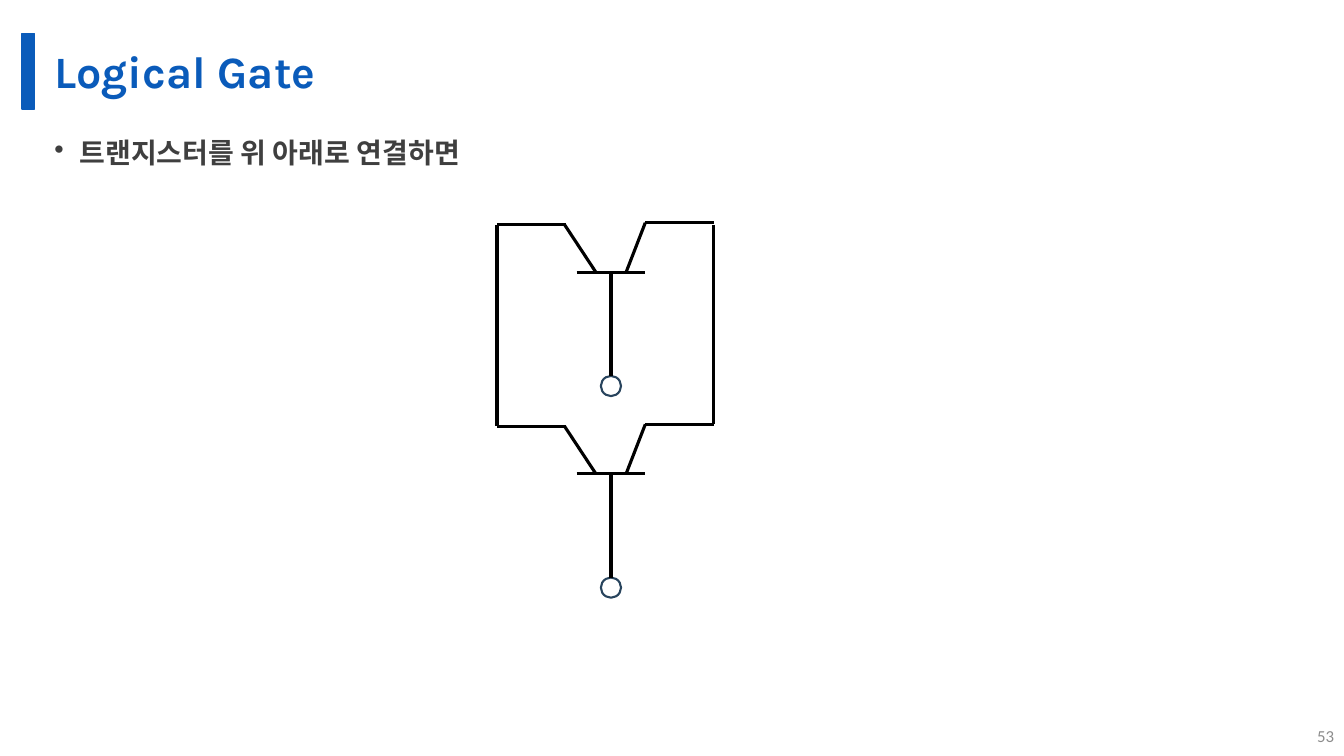
from dataclasses import dataclass

from lxml import etree
from pptx import Presentation
from pptx.dml.color import RGBColor
from pptx.enum.shapes import MSO_CONNECTOR, MSO_SHAPE
from pptx.enum.text import MSO_ANCHOR, PP_ALIGN
from pptx.oxml.ns import qn
from pptx.util import Emu, Pt

EMU_PER_PX = 9144
STRAIGHT = MSO_CONNECTOR.STRAIGHT
RECT, OVAL = MSO_SHAPE.RECTANGLE, MSO_SHAPE.OVAL
TOP, MIDDLE = MSO_ANCHOR.TOP, MSO_ANCHOR.MIDDLE
LEFT, RIGHT = PP_ALIGN.LEFT, PP_ALIGN.RIGHT
TOP_SITE = 0


@dataclass(frozen=True)
class Theme:
    """Colours, fonts and point sizes of the slide."""
    accent: str = "0A5BBA"
    body: str = "3F3F3F"
    muted: str = "8C8C8C"
    wire: str = "000000"
    terminal: str = "28445D"
    title_font: str = "Karla"
    body_font: str = "Lato"
    number_font: str = "Calibri"
    title_size: int = 32
    body_size: int = 20
    number_size: int = 12
    wire_width: float = 2.25
    terminal_width: float = 1.5


THEME = Theme()


def px(n):
    """Turn px (100 to the inch) into EMU."""
    return Emu(n * EMU_PER_PX)


def rgb(value):
    """Turn a hex string into a colour."""
    return RGBColor.from_string(value)


def add_bullet(p, indent):
    """Give a paragraph a round bullet with a hanging indent."""
    pPr = p._p.get_or_add_pPr()
    pPr.set("marL", str(px(indent)))
    pPr.set("indent", str(-px(indent)))
    etree.SubElement(pPr, qn("a:buChar")).set("char", "•")


def add_text(shapes, text, box, *, font, size, color, bold=False, align=LEFT,
             anchor=TOP, spacing=1.0, after=0, bottom=5, indent=0):
    """Add a one-paragraph text box in the given format."""
    s = shapes.add_textbox(*map(px, box))
    tf = s.text_frame
    tf.word_wrap = True
    tf.vertical_anchor = anchor
    tf.margin_bottom = px(bottom)
    p = tf.paragraphs[0]
    p.alignment = align
    p.line_spacing = spacing
    p.space_after = Pt(after)
    if indent:
        add_bullet(p, indent)
    r = p.add_run()
    r.text = text
    r.font.name, r.font.size, r.font.bold = font, Pt(size), bold
    r.font.color.rgb = rgb(color)
    return s


def add_shape(shapes, kind, box, line, width, fill=None):
    """Add an outlined preset shape, filled when a colour is given."""
    s = shapes.add_shape(kind, *map(px, box))
    s.shadow.inherit = False
    if fill:
        s.fill.solid()
        s.fill.fore_color.rgb = rgb(fill)
    else:
        s.fill.background()
    s.line.color.rgb = rgb(line)
    s.line.width = Pt(width)
    return s


def add_wire(shapes, x1, y1, x2, y2):
    """Add a straight wire between two points."""
    c = shapes.add_connector(STRAIGHT, px(x1), px(y1), px(x2), px(y2))
    c.line.color.rgb = rgb(THEME.wire)
    c.line.width = Pt(THEME.wire_width)
    etree.SubElement(c._element.spPr, qn("a:effectLst"))
    return c


def add_transistor(shapes, x, y):
    """Add a grouped transistor whose left lead starts at x, y."""
    g = shapes.add_group_shape().shapes
    base = y + 47
    add_wire(g, x, y, x + 68, y)
    add_wire(g, x + 79, base, x + 147, base)
    add_wire(g, x + 67, y, x + 98, base)
    add_wire(g, x + 147, y - 2, x + 128, base)
    add_wire(g, x + 147, y - 2, x + 215, y - 2)
    terminal = add_shape(g, OVAL, (x + 103, y + 150, 20, 20),
                         THEME.terminal, THEME.terminal_width)
    stem = add_wire(g, x + 113, y + 150, x + 113, base)
    stem.begin_connect(terminal, TOP_SITE)


def add_circuit(shapes, left, top, drop):
    """Add two transistors, one above the other, with their leads joined."""
    right = left + 215
    for y in (top, top + drop):
        add_transistor(shapes, left, y)
    add_wire(shapes, left, top, left, top + drop)
    add_wire(shapes, right, top + drop - 2, right, top)


def main():
    """Build the slide and save it."""
    prs = Presentation()
    prs.slide_width, prs.slide_height = px(1333), px(750)
    shapes = prs.slides.add_slide(prs.slide_layouts[6]).shapes
    add_shape(shapes, RECT, (22, 33, 12, 75), THEME.accent, 1, THEME.accent)
    add_text(shapes, "Logical Gate", (44, 33, 1245, 75),
             font=THEME.title_font, size=THEME.title_size, color=THEME.accent,
             bold=True, anchor=MIDDLE, spacing=0.9, bottom=0)
    add_text(shapes, "트랜지스터를 위 아래로 연결하면", (44, 125, 1245, 592),
             font=THEME.body_font, size=THEME.body_size, color=THEME.body,
             bold=True, spacing=1.14, after=3, indent=25)
    add_text(shapes, "53", (1289, 710, 44, 40), font=THEME.number_font,
             size=THEME.number_size, color=THEME.muted, align=RIGHT, anchor=MIDDLE)
    add_circuit(shapes, 493, 223, 200)
    prs.save("out.pptx")


if __name__ == "__main__":
    main()
